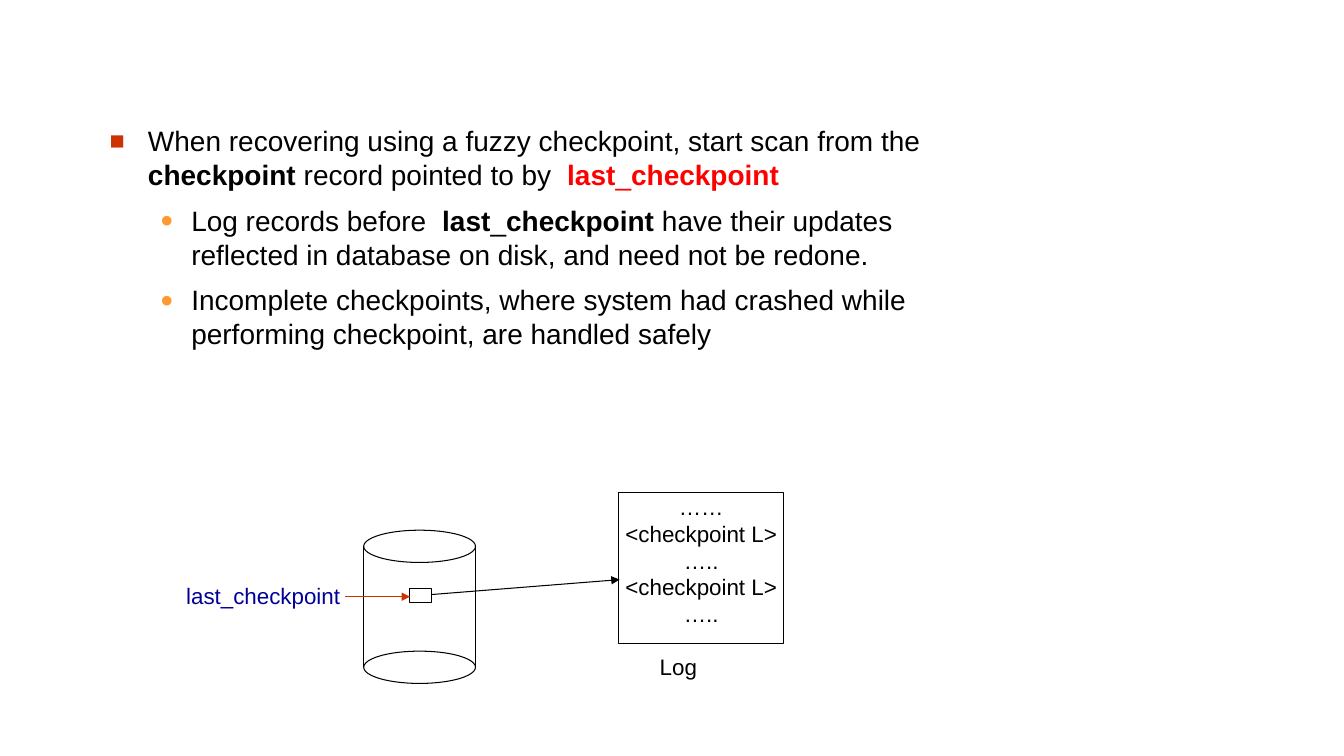
from lxml.etree import SubElement
from pptx import Presentation
from pptx.dml.color import RGBColor
from pptx.enum.shapes import MSO_CONNECTOR as Connector, MSO_SHAPE as Shape
from pptx.enum.text import MSO_ANCHOR as Anchor, PP_ALIGN as Align
from pptx.oxml.ns import qn
from pptx.util import Inches, Pt

BLACK = RGBColor(0x00, 0x00, 0x00)
WHITE = RGBColor(0xFF, 0xFF, 0xFF)
RED = RGBColor(0xFF, 0x00, 0x00)
RUST = RGBColor(0xCC, 0x33, 0x00)
ORANGE = RGBColor(0xFF, 0x99, 0x33)
NAVY = RGBColor(0x00, 0x00, 0x99)
LINE_WIDTH = Pt(0.74)

# Content: (level, [(text, bold, colour), ...])
POINTS = [
    (0, [("When recovering using a fuzzy checkpoint, start scan from the ", False, BLACK),
         ("checkpoint", True, BLACK), (" record pointed to by  ", False, BLACK),
         ("last", True, RED), ("_", False, RED), ("checkpoint", True, RED)]),
    (1, [("Log records before ", False, BLACK), (" last", True, BLACK),
         ("_", False, BLACK), ("checkpoint", True, BLACK),
         (" have their updates reflected in database on disk, "
          "and need not be redone.", False, BLACK)]),
    (1, [("Incomplete checkpoints, where system had crashed while performing "
          "checkpoint, are handled safely", False, BLACK)]),
]
LOG_LINES = ["……", "<checkpoint L>", "…..", "<checkpoint L>", "….."]

# Bullet levels: (indent, hanging, mark, colour, percent size)
BULLETS = [(0.38, 0.38, "■", RUST, 90), (0.81, 0.31, "●", ORANGE, 80)]

# Diagram geometry in inches
DISK_LEFT, DISK_WIDTH = 3.61, 1.11
DISK_TOP, DISK_BOTTOM, RIM_HEIGHT = 5.26, 6.46, 0.32
LOG_BOX = (6.14, 4.89, 1.64, 1.49)
POINTER_BOX = (4.06, 5.84, 0.22, 0.14)

deck = Presentation()
deck.slide_width, deck.slide_height = Inches(13.34), Inches(7.5)
page = deck.slides.add_slide(deck.slide_layouts[6])


def add_text(frame, paragraphs, size=16, align=Align.LEFT, anchor=Anchor.TOP,
             wrap=False, inset=0.05, before=0):
    """Write (level, spans) paragraphs; level None means no bullet."""
    frame.word_wrap, frame.vertical_anchor = wrap, anchor
    frame.margin_left = frame.margin_right = Inches(0.1)
    frame.margin_top = frame.margin_bottom = Inches(inset)
    for index, (level, spans) in enumerate(paragraphs):
        para = frame.add_paragraph() if index else frame.paragraphs[0]
        para.alignment, para.space_before = align, Pt(before)
        if level is not None:
            para.level = level
            add_bullet(para, *BULLETS[level])
        for text, bold, colour in spans:
            span = para.add_run()
            span.text = text
            span.font.name, span.font.size = "Arial", Pt(size)
            span.font.bold, span.font.color.rgb = bold, colour


def add_bullet(para, indent, hanging, mark, colour, percent):
    props = para._p.get_or_add_pPr()
    props.set("marL", str(Inches(indent)))
    props.set("indent", str(-Inches(hanging)))
    SubElement(SubElement(props, qn("a:buClr")), qn("a:srgbClr"), val=str(colour))
    SubElement(props, qn("a:buSzPct"), val=str(percent * 1000))
    SubElement(props, qn("a:buFont"), typeface="Arial")
    SubElement(props, qn("a:buChar"), char=mark)


def add_box(left, top, width, height):
    return page.shapes.add_textbox(*map(Inches, (left, top, width, height)))


def add_outline(kind, left, top, width, height, filled=True):
    shape = page.shapes.add_shape(kind, *map(Inches, (left, top, width, height)))
    shape.shadow.inherit = False
    if filled:
        shape.fill.solid()
        shape.fill.fore_color.rgb = WHITE
    else:
        shape.fill.background()
    shape.line.color.rgb, shape.line.width = BLACK, LINE_WIDTH
    return shape


def add_line(start, end, colour=BLACK, arrow=False):
    line = page.shapes.add_connector(Connector.STRAIGHT, *map(Inches, start + end))
    line.line.color.rgb, line.line.width = colour, LINE_WIDTH
    if arrow:
        SubElement(line.line._get_or_add_ln(), qn("a:tailEnd"), type="triangle")
    SubElement(line._element.spPr, qn("a:effectLst"))


# Bullet list
body = add_box(0.99, 1.18, 8.38, 5.36)
add_text(body.text_frame, POINTS, size=20, wrap=True, before=8.8)

# Log box and its caption
log = add_outline(Shape.RECTANGLE, *LOG_BOX)
add_text(log.text_frame, [(None, [(text, False, BLACK)]) for text in LOG_LINES],
         align=Align.CENTER, inset=0)
caption = add_box(6.45, 6.43, 0.57, 0.37)
add_text(caption.text_frame, [(None, [("Log", False, BLACK)])])

# Disk: two rims joined by two sides
for rim_top, filled in ((DISK_TOP, False), (DISK_BOTTOM, True)):
    add_outline(Shape.OVAL, DISK_LEFT, rim_top, DISK_WIDTH, RIM_HEIGHT, filled)
for side in (DISK_LEFT, DISK_LEFT + DISK_WIDTH):
    add_line((side, DISK_TOP + RIM_HEIGHT / 2), (side, DISK_BOTTOM + RIM_HEIGHT / 2))

# Pointer from last_checkpoint through the disk to the log
add_line((4.26, 5.9), (6.15, 5.75), arrow=True)
pointer_label = add_box(1.75, 5.73, 1.73, 0.37)
add_text(pointer_label.text_frame, [(None, [("last_checkpoint", False, NAVY)])])
add_outline(Shape.RECTANGLE, *POINTER_BOX)
add_line((3.42, 5.92), (4.07, 5.92), colour=RUST, arrow=True)

deck.save("out.pptx")
